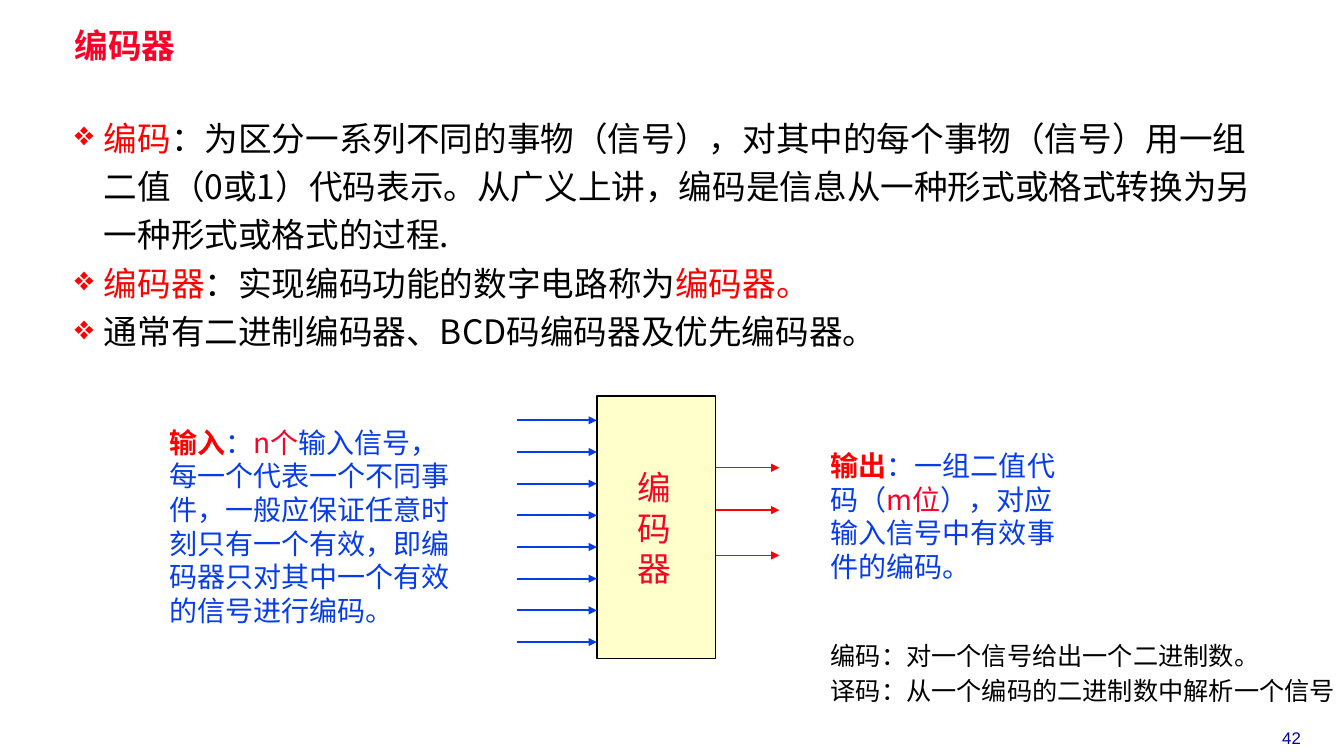
"""Builds the slide that explains what an encoder is."""
from lxml import etree
from pptx import Presentation
from pptx.dml.color import RGBColor
from pptx.enum.shapes import MSO_CONNECTOR, MSO_SHAPE
from pptx.enum.text import PP_ALIGN
from pptx.oxml.ns import qn
from pptx.util import Inches, Pt

STRAIGHT = MSO_CONNECTOR.STRAIGHT
RECTANGLE = MSO_SHAPE.RECTANGLE
LEFT, CENTER = PP_ALIGN.LEFT, PP_ALIGN.CENTER
WIDTH, HEIGHT = Inches(13.33), Inches(7.5)
CJK = "Noto Sans CJK SC"
COLORS = {
    "black": "000000",
    "blue": "063DE8",
    "navy": "000099",
    "red": "FF0000",
    "crimson": "FC0128",
    "cream": "FFFFCC",
}


def color(name):
    """Return the named colour."""
    return RGBColor.from_string(COLORS[name])


def across(percent):
    """Return a share of the slide width."""
    return round(WIDTH * percent / 100)


def down(percent):
    """Return a share of the slide height."""
    return round(HEIGHT * percent / 100)


def place(left, top, width, height):
    """Turn four percentages into a position and a size."""
    return across(left), down(top), across(width), down(height)


def add_bullet(paragraph, indent=Inches(0.29)):
    """Give a paragraph a red diamond bullet with a hanging indent."""
    properties = paragraph._p.get_or_add_pPr()
    properties.set("marL", str(indent))
    properties.set("indent", str(-indent))
    bullet_color = etree.SubElement(properties, qn("a:buClr"))
    etree.SubElement(bullet_color, qn("a:srgbClr"), val=COLORS["red"])
    etree.SubElement(properties, qn("a:buChar"), char="❖")


def add_run(paragraph, text, color_name, bold, font, size):
    """Add one formatted run, with a font for Chinese letters too."""
    run = paragraph.add_run()
    run.text = text
    run.font.name, run.font.size, run.font.bold = font, Pt(size), bold
    run.font.color.rgb = color(color_name)
    etree.SubElement(run._r.get_or_add_rPr(), qn("a:ea"), typeface=CJK)


def add_text(slide, box, paragraphs, size, font=CJK, line=None, gap=0,
             align=LEFT, bullets=False, wrap=True, insets=(0.1, 0.05)):
    """Add a text box; each paragraph is a list of (text, colour, bold)."""
    frame = slide.shapes.add_textbox(*place(*box)).text_frame
    frame.word_wrap = wrap
    frame.margin_left = frame.margin_right = Inches(insets[0])
    frame.margin_top = frame.margin_bottom = Inches(insets[1])
    for index, runs in enumerate(paragraphs):
        paragraph = frame.add_paragraph() if index else frame.paragraphs[0]
        if bullets:
            add_bullet(paragraph)
        paragraph.alignment = align
        if line:
            paragraph.line_spacing = Pt(line)
        if index and gap:
            paragraph.space_before = Pt(gap)
        for text, color_name, bold in runs:
            add_run(paragraph, text, color_name, bold, font, size)


def add_arrow(slide, start, end, row, color_name, weight):
    """Add a horizontal arrow that points right."""
    arrow = slide.shapes.add_connector(
        STRAIGHT, across(start), down(row), across(end), down(row))
    arrow.line.color.rgb = color(color_name)
    arrow.line.width = Pt(weight)
    etree.SubElement(arrow.line._get_or_add_ln(), qn("a:tailEnd"), type="triangle")
    etree.SubElement(arrow._element.spPr, qn("a:effectLst"))


def add_encoder(slide):
    """Draw the encoder block with its eight inputs and three outputs."""
    block_left, block_width = 44.41, 8.85
    block_right = block_left + block_width
    block = slide.shapes.add_shape(
        RECTANGLE, *place(block_left, 52.4, block_width, 34.67))
    block.shadow.inherit = False
    block.fill.solid()
    block.fill.fore_color.rgb = color("cream")
    block.line.color.rgb = color("black")
    block.line.width = Pt(1)
    for index in range(8):
        add_arrow(slide, 38.48, block_left, 55.6 + 4.19 * index, "blue", 1.5)
    for row in (61.87, 67.47, 73.47):
        add_arrow(slide, block_right, 57.99, row, "red", 1)
    add_text(slide, (46.66, 61.07, 3.53, 17.47),
             [[("编码器", "crimson", False)]], 24, font="Arial", line=29)


def main():
    """Build and save the presentation."""
    presentation = Presentation()
    presentation.slide_width, presentation.slide_height = WIDTH, HEIGHT
    slide = presentation.slides.add_slide(presentation.slide_layouts[6])

    add_text(slide, (92.57, 95.6, 7.05, 4), [[("42", "navy", False)]], 12,
             font="Arial", align=CENTER)
    add_text(slide, (5.03, 3.73, 43.14, 5.47), [[("编码器", "crimson", True)]],
             24, font="Times New Roman", line=24.5, insets=(0.07, 0.03))
    add_text(slide, (5.03, 14.13, 88.67, 33.07), [
        [("编码", "red", False),
         ("：为区分一系列不同的事物（信号），对其中的每个事物（信号）用一组二值（0或1）"
          "代码表示。从广义上讲，编码是信息从一种形式或格式转换为另一种形式或格式的过程.",
          "black", False)],
        [("编码器", "red", False),
         ("：实现编码功能的数字电路称为", "black", False),
         ("编码器。", "red", False)],
        [("通常有二进制编码器、BCD码编码器及优先编码器。", "black", False)],
    ], 24, line=34.5, bullets=True, insets=(0.07, 0.03))

    add_encoder(slide)
    add_text(slide, (11.85, 55.6, 23.26, 28.27), [[
        ("输入", "red", True), ("：", "blue", False), ("n个", "crimson", False),
        ("输入信号，每一个代表一个不同事件，一般应保证任意时刻只有一个有效，"
         "即编码器只对其中一个有效的信号进行编码。", "blue", False),
    ]], 20, line=24)
    add_text(slide, (61.07, 58.67, 18.3, 19.33), [[
        ("输出", "red", True), ("：一组二值代码（", "blue", False),
        ("m位", "crimson", False),
        ("），对应输入信号中有效事件的编码。", "blue", False),
    ]], 20, line=24)
    add_text(slide, (61.07, 84.27, 39.38, 9.87), [
        [("编码：对一个信号给出一个二进制数。", "black", False)],
        [("译码：从一个编码的二进制数中解析一个信号", "black", False)],
    ], 18, font="Roboto", line=20.5, gap=4.5, wrap=False)

    presentation.save("out.pptx")


if __name__ == "__main__":
    main()
